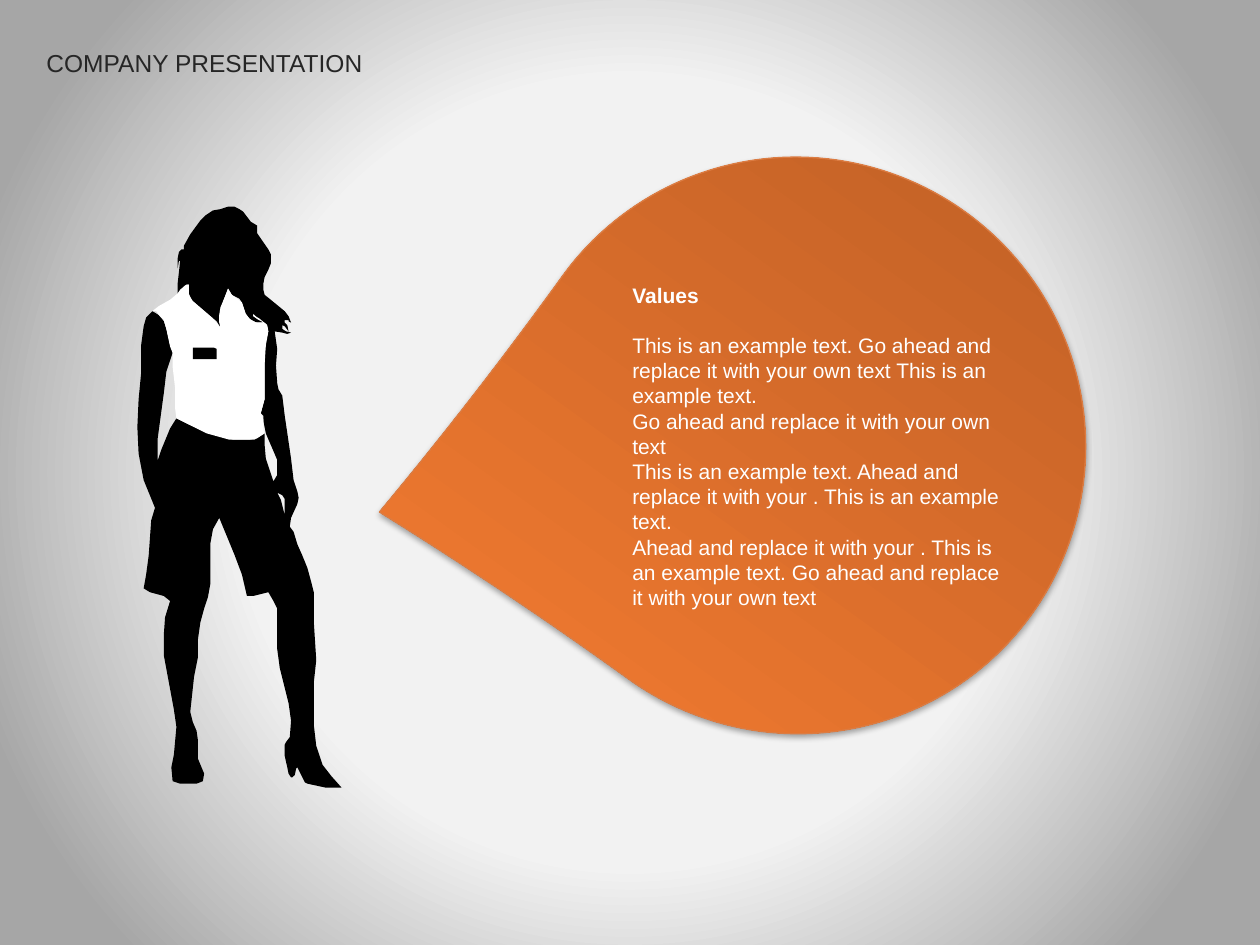
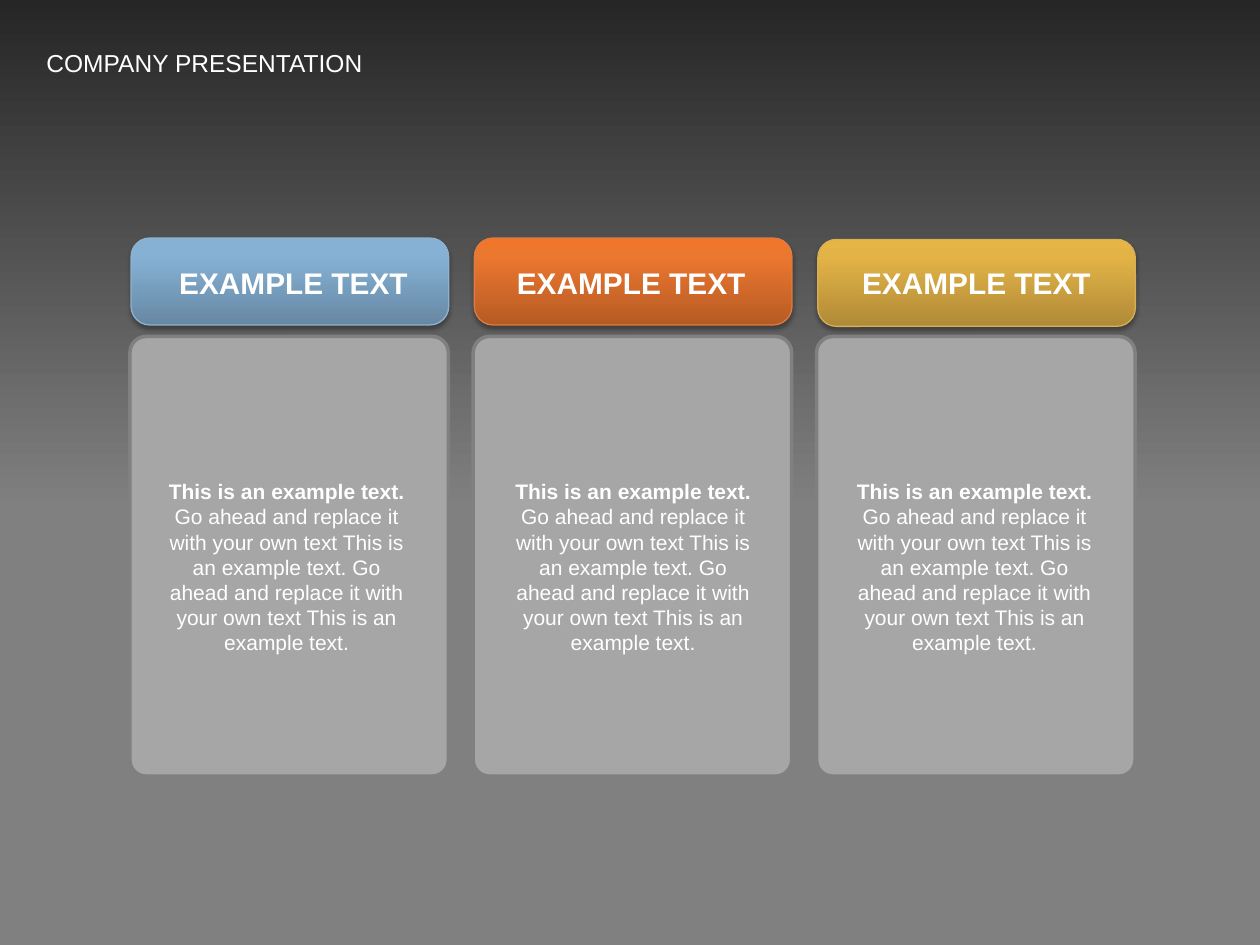
from dataclasses import dataclass
from typing import Optional

from lxml import etree
from pptx import Presentation
from pptx import util as u
from pptx.dml.color import RGBColor
from pptx.enum import shapes, text
from pptx.oxml import ns

Pt = u.Pt


# Theme shared by both slides
@dataclass(frozen=True)
class Theme:
    font: str = "Arial"
    title_size: float = 14
    label_size: float = 17
    body_size: float = 12
    white: str = "FFFFFF"
    black: str = "000000"
    ink: str = "262626"
    panel: str = "A6A6A6"
    panel_edge: str = "808080"
    mist: str = "F2F2F2"


@dataclass(frozen=True)
class Box:
    left: float
    top: float
    width: float
    height: float

    def lengths(self) -> tuple:
        return Pt(self.left), Pt(self.top), Pt(self.width), Pt(self.height)


@dataclass(frozen=True)
class Gradient:
    stops: tuple[tuple[int, str], ...]
    angle: Optional[int] = None  # None means circular, from the centre


@dataclass(frozen=True)
class Gloss:
    dark: str
    mid: str
    light: str
    edge: str

    def gradient(self) -> Gradient:
        return Gradient(((0, self.dark), (80, self.mid), (100, self.light)), 270)


@dataclass(frozen=True)
class Line:
    words: str
    bold: bool = False
    gap_after: float = 0


@dataclass(frozen=True)
class Column:
    gloss: Gloss
    banner_top: float
    label_left: float
    body_left: float


THEME = Theme()
SLIDE = Box(0, 0, 720, 540)
TITLE = Box(19.44, 23.76, 296, 24.5)
BLUE = Gloss("6788A4", "86B1D4", "86B2D7", "8FB2CF")
ORANGE = Gloss("B65B24", "EC772F", "F1762C", "DC7C42")
GOLD = Gloss("AF8A37", "E3B347", "E7B544", "D6AF57")

SPOTLIGHT = Gradient(((50, THEME.mist), (88, THEME.panel)))
DUSK = Gradient(((46, THEME.panel_edge), (100, THEME.ink)), 270)

VALUES = (
    Line("Values", True, 14.4),
    Line("This is an example text. Go ahead and replace it with your own text "
         "This is an example text."),
    Line("Go ahead and replace it with your own text"),
    Line("This is an example text. Ahead and replace it with your . "
         "This is an example text."),
    Line("Ahead and replace it with your . This is an example text. "
         "Go ahead and replace it with your own text"),
)
COLUMN_TEXT = (
    Line("This is an example text.", True),
    Line("Go ahead and replace it with your own text This is an example text. "
         "Go ahead and replace it with your own text This is an example text."),
)
COLUMNS = (
    Column(BLUE, 136, 93.6, 87.84),
    Column(ORANGE, 136, 286.56, 285.84),
    Column(GOLD, 136.8, 483.84, 480.96),
)
COLUMN_PITCH = 196.2

# Outlines of the standing figure, in hundredths of an inch
FIGURE_UNIT = 0.72
ARM_GAP = "220,391 223,397 226,409 226,396 224,393"
HAIR_AND_RIGHT_ARM = """
181,164 186,164 190,166 193,168 199,176 204,179 204,185 213,198 215,202 215,209
213,214 210,220 209,225 209,230 210,234 215,238 226,247 229,251 231,256 229,255
229,254 226,254 226,256 228,258 229,263 226,259 224,258 224,261 227,263 231,264
228,265 224,264 218,263 220,277 219,290 220,304 221,309 224,314 226,330 231,364
233,381 236,390 237,395 236,400 231,411 230,418 233,422 236,432 240,441 244,451
"""
LEGS = """
247,462 249,470 249,493 251,524 249,542 249,575 251,592 256,607 263,616 271,625
258,625 244,622 242,621 236,609 235,610 234,615 232,617 231,617 229,614 228,609
226,600 226,591 227,589 230,585 231,572 229,558 222,530 220,515 220,483 217,477
213,470 205,472 201,473 196,473 192,456 186,440 174,411 169,420 167,431 167,463
165,474 162,483 159,494 157,508 157,522 154,537 151,565 153,573 156,580 157,587
157,602 162,614 161,620 156,622 143,622 137,620 136,609 138,599 140,577 138,563
130,520 130,504 131,490 135,477 130,473 119,470 114,467 116,456 118,441 120,413
"""
LEFT_ARM_AND_WAIST = """
123,403 114,381 110,360 109,339 110,317 112,296 112,274 114,259 116,252 121,247
126,250 130,255 132,261 135,274 137,280 132,295 130,312 125,349 125,366 128,357
135,340 140,332 150,337 161,342 173,346 185,349 202,349 210,344 210,353 211,364
217,382 220,377 220,365 217,358 211,344 209,334 209,330 207,328 210,317 210,281
"""
NECK_AND_FACE_SIDE = """
211,272 213,263 212,258 210,256 206,254 201,249 201,251 205,254 210,256 204,256
199,254 195,249 192,240 190,237 184,234 181,229 177,239 174,252 175,260 172,255
152,238 150,233 150,226 148,226 146,227 141,233 141,225 143,207 142,207 141,213
141,205 142,200 144,198 146,198 146,195 151,186 159,175 163,171 169,167 175,166
"""
BODY = "".join((HAIR_AND_RIGHT_ARM, LEGS, LEFT_ARM_AND_WAIST, NECK_AND_FACE_SIDE))
BLOUSE = """
148,226 150,226 150,234 153,239 168,252 171,255 175,260 174,256 174,250 175,244
178,237 181,229 184,234 192,240 195,249 198,253 203,256 209,256 204,253 201,251
201,250 206,253 212,258 213,263 211,274 210,290 210,317 207,328 209,333 209,341
210,344 204,348 198,349 182,349 164,344 150,337 140,332 139,324 139,308 137,291
137,280 135,275 132,261 130,254 126,250 124,247 121,247 126,243 135,238 141,233
143,230
"""
BADGE = "153,276 170,276 172,277 172,285 153,285"


def points(outline: str) -> list[tuple[int, ...]]:
    return [tuple(map(int, pair.split(","))) for pair in outline.split()]


def sub(parent, tag: str, **attributes):
    values = {key: str(value) for key, value in attributes.items()}
    return etree.SubElement(parent, ns.qn(tag), values)


# Shape styling
def paint(shape, fill: str | Gradient, edge: Optional[str] = None,
          weight: float = 0.75) -> None:
    shape.shadow.inherit = False
    if isinstance(fill, Gradient):
        paint_gradient(shape, fill)
    else:
        shape.fill.solid()
        shape.fill.fore_color.rgb = RGBColor.from_string(fill)
    if edge:
        shape.line.color.rgb = RGBColor.from_string(edge)
        shape.line.width = Pt(weight)
    else:
        shape.line.fill.background()


def paint_gradient(shape, gradient: Gradient) -> None:
    shape.fill.gradient()
    grad = shape._element.spPr.find(ns.qn("a:gradFill"))
    grad.clear()
    grad.set("rotWithShape", "1")
    stop_list = sub(grad, "a:gsLst")
    for position, colour in gradient.stops:
        sub(sub(stop_list, "a:gs", pos=position * 1000), "a:srgbClr", val=colour)
    if gradient.angle is None:
        centre = dict.fromkeys("ltrb", 50000)
        sub(sub(grad, "a:path", path="circle"), "a:fillToRect", **centre)
    else:
        sub(grad, "a:lin", ang=gradient.angle * 60000, scaled=0)


def drop_shadow(shape) -> None:
    effects = shape._element.spPr.find(ns.qn("a:effectLst"))
    shadow = sub(effects, "a:outerShdw", blurRad=int(Pt(3.1)), dist=int(Pt(1.8)),
                 dir=90 * 60000, rotWithShape=0)
    sub(sub(shadow, "a:srgbClr", val=THEME.black), "a:alpha", val=35000)


# Drawing
def draw_shape(slide, kind, box: Box, adjust: Optional[float] = None):
    shape = slide.shapes.add_shape(kind, *box.lengths())
    if adjust is not None:
        shape.adjustments[0] = adjust
    return shape


def draw_glossy(slide, kind, box: Box, adjust: float, gloss: Gloss):
    shape = draw_shape(slide, kind, box, adjust)
    paint(shape, gloss.gradient(), gloss.edge)
    drop_shadow(shape)
    return shape


def draw_text(slide, box: Box, lines: tuple[Line, ...], size: float,
              colour: str = THEME.white, align=text.PP_ALIGN.LEFT) -> None:
    frame = slide.shapes.add_textbox(*box.lengths()).text_frame
    frame.word_wrap = True
    for index, line in enumerate(lines):
        paragraph = frame.add_paragraph() if index else frame.paragraphs[0]
        paragraph.alignment = align
        paragraph.space_after = Pt(line.gap_after)
        run = paragraph.add_run()
        run.text = line.words
        run.font.name = THEME.font
        run.font.size = Pt(size)
        run.font.bold = line.bold
        run.font.color.rgb = RGBColor.from_string(colour)


def draw_outline(slide, fill: str, *outlines: str) -> None:
    first, *others = map(points, outlines)
    builder = slide.shapes.build_freeform(*first[0], scale=Pt(FIGURE_UNIT))
    builder.add_line_segments(first[1:], close=True)
    for contour in others:
        builder.move_to(*contour[0])
        builder.add_line_segments(contour[1:], close=True)
    paint(builder.convert_to_shape(), fill)


def start_slide(deck, backdrop: Gradient, title_colour: str):
    slide = deck.slides.add_slide(deck.slide_layouts[6])
    paint(draw_shape(slide, shapes.MSO_SHAPE.RECTANGLE, SLIDE), backdrop)
    draw_text(slide, TITLE, (Line("COMPANY PRESENTATION"),),
              THEME.title_size, title_colour)
    return slide


# Slide 1: figure with a speech drop
def values_slide(deck) -> None:
    slide = start_slide(deck, SPOTLIGHT, THEME.ink)
    drop = draw_glossy(slide, shapes.MSO_SHAPE.TEAR,
                       Box(290.16, 90, 330.5, 329), 1.036, ORANGE)
    drop.rotation = 215.8
    draw_text(slide, Box(354.24, 157.68, 225.4, 198.7), VALUES, THEME.body_size)
    draw_outline(slide, THEME.black, ARM_GAP, BODY)
    draw_outline(slide, THEME.white, BLOUSE)
    draw_outline(slide, THEME.black, BADGE)


# Slide 2: three columns with glossy banners
def columns_slide(deck) -> None:
    slide = start_slide(deck, DUSK, THEME.white)
    rounded = shapes.MSO_SHAPE.ROUNDED_RECTANGLE
    centre = text.PP_ALIGN.CENTER
    for index, column in enumerate(COLUMNS):
        shift = index * COLUMN_PITCH
        draw_glossy(slide, rounded, Box(74.88 + shift, column.banner_top, 181.5, 49.7),
                    0.214, column.gloss)
        panel = draw_shape(slide, rounded, Box(74.2 + shift, 192.24, 182, 251.3), 0.051)
        paint(panel, THEME.panel, THEME.panel_edge, 2)
        draw_text(slide, Box(column.body_left, 270, 152, 108.7), COLUMN_TEXT,
                  THEME.body_size, align=centre)
        draw_text(slide, Box(column.label_left, 147.6, 148.3, 28),
                  (Line("EXAMPLE TEXT", True),), THEME.label_size, align=centre)


def main() -> None:
    deck = Presentation()
    deck.slide_width, deck.slide_height = Pt(SLIDE.width), Pt(SLIDE.height)
    values_slide(deck)
    columns_slide(deck)
    deck.save("out.pptx")


if __name__ == "__main__":
    main()
